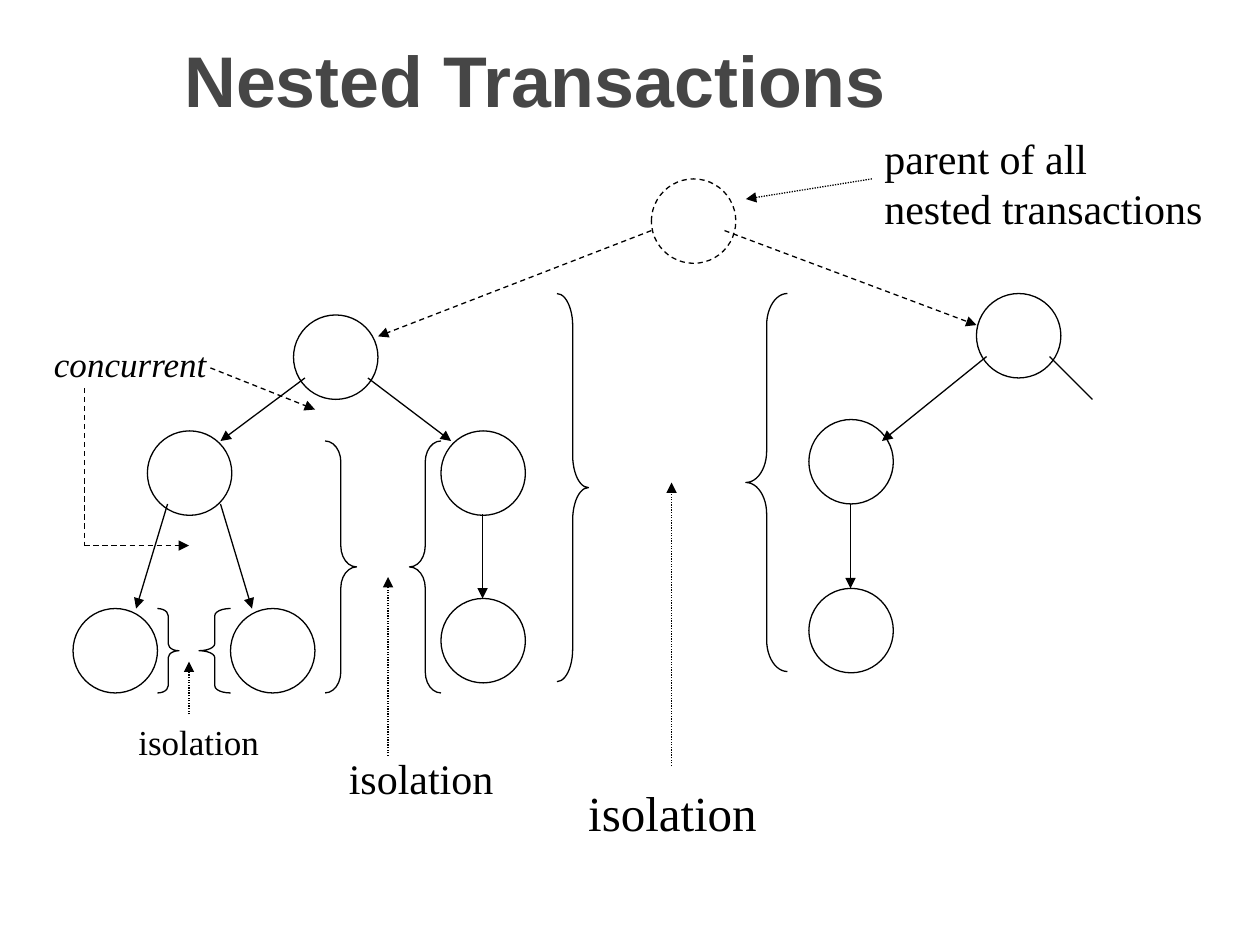
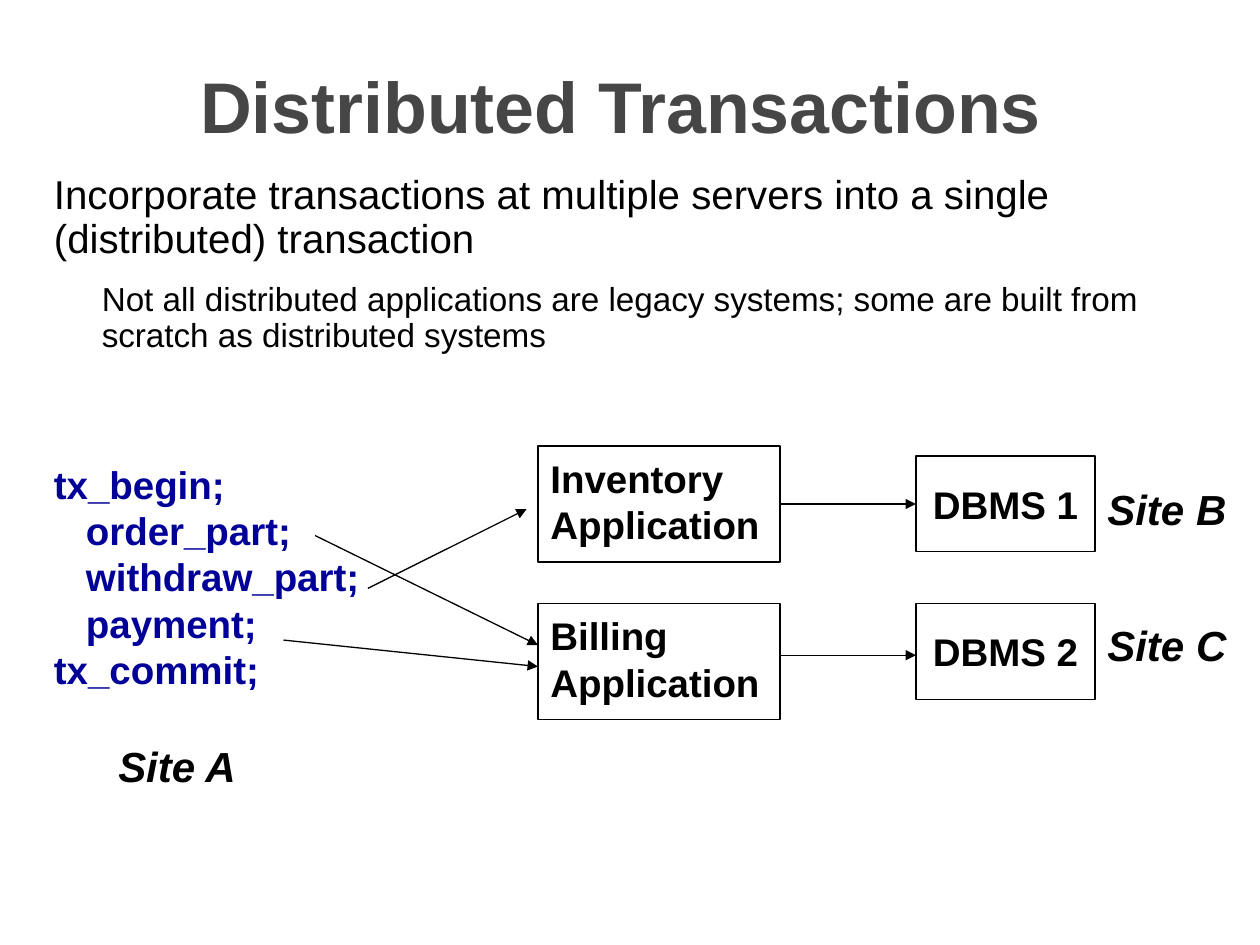
from dataclasses import dataclass, field
from typing import NamedTuple

from lxml.etree import SubElement
from pptx import Presentation
from pptx.dml.color import RGBColor
from pptx.enum.dml import MSO_LINE_DASH_STYLE as Dash
from pptx.enum.shapes import MSO_CONNECTOR, MSO_SHAPE
from pptx.enum.text import MSO_ANCHOR as Anchor
from pptx.enum.text import PP_ALIGN as Align
from pptx.oxml.ns import qn
from pptx.util import Inches, Pt

# Shared style
BLACK, WHITE, TITLE_GREY, CODE_BLUE = "000000", "FFFFFF", "464646", "000099"
SANS, SERIF = "Arial", "Times New Roman"
LINE_WIDTH = 0.75
NODE_SIZE = 0.67
TITLE_FONT = {"name": SANS, "size": Pt(41), "bold": True}
BOX_FONT = {"name": SANS, "size": Pt(22), "bold": True}
SITE_FONT = {"name": SANS, "size": Pt(24), "bold": True, "italic": True}


class Box(NamedTuple):
    left: float
    top: float
    width: float
    height: float


class Node(NamedTuple):
    left: float
    top: float
    dash: Dash | None = None


class Brace(NamedTuple):
    kind: MSO_SHAPE
    box: Box


class Arrow(NamedTuple):
    start: tuple[float, float]
    end: tuple[float, float]
    dash: Dash | None = None
    head: bool = True


@dataclass
class Label:
    box: Box
    lines: list[str]
    font: dict
    color: str = BLACK
    wrap: bool = False


@dataclass
class System:
    box: Box
    lines: list[str]
    text_format: dict = field(default_factory=dict)
    align: Align = Align.LEFT


# Drawing functions
def rgb(value: str) -> RGBColor:
    return RGBColor.from_string(value)


def inches(values) -> list:
    return [Inches(value) for value in values]


def set_attributes(target, values: dict) -> None:
    for name, value in values.items():
        setattr(target, name, value)


def style_line(line, dash: Dash | None = None) -> None:
    line.color.rgb = rgb(BLACK)
    line.width = Pt(LINE_WIDTH)
    if dash is not None:
        line.dash_style = dash


def write_lines(frame, lines: list[str], font: dict, color: str,
                align: Align = Align.LEFT) -> None:
    for index, line in enumerate(lines):
        paragraph = frame.paragraphs[0] if index == 0 else frame.add_paragraph()
        paragraph.text = line
        paragraph.alignment = align
        set_attributes(paragraph.font, font)
        paragraph.font.color.rgb = rgb(color)


def add_titled_slide(presentation, text: str, box: Box):
    slide = presentation.slides.add_slide(presentation.slide_layouts[5])
    title = slide.shapes.title
    set_attributes(title, dict(zip(("left", "top", "width", "height"), inches(box))))
    title.text_frame.vertical_anchor = Anchor.MIDDLE
    write_lines(title.text_frame, [text], TITLE_FONT, TITLE_GREY, Align.CENTER)
    return slide


def add_outline(slide, kind: MSO_SHAPE, box: Box, dash: Dash | None = None):
    shape = slide.shapes.add_shape(kind, *inches(box))
    shape.shadow.inherit = False
    style_line(shape.line, dash)
    return shape


def add_filled(slide, kind: MSO_SHAPE, box: Box, dash: Dash | None = None):
    shape = add_outline(slide, kind, box, dash)
    shape.fill.solid()
    shape.fill.fore_color.rgb = rgb(WHITE)
    return shape


def add_node(slide, node: Node) -> None:
    box = Box(node.left, node.top, NODE_SIZE, NODE_SIZE)
    add_filled(slide, MSO_SHAPE.OVAL, box, node.dash)


def add_brace(slide, brace: Brace) -> None:
    shape = add_outline(slide, brace.kind, brace.box)
    shape.fill.background()
    # The curls take a twelfth of the height
    shape.adjustments[0] = brace.box.height / 12 / brace.box.width


def add_arrow(slide, arrow: Arrow):
    connector = slide.shapes.add_connector(
        MSO_CONNECTOR.STRAIGHT, *inches(arrow.start + arrow.end))
    style_line(connector.line, arrow.dash)
    properties = connector._element.spPr
    if arrow.head:
        SubElement(properties.find(qn("a:ln")), qn("a:tailEnd"), type="triangle")
    SubElement(properties, qn("a:effectLst"))
    return connector


def add_label(slide, label: Label):
    text_box = slide.shapes.add_textbox(*inches(label.box))
    text_box.text_frame.word_wrap = label.wrap
    write_lines(text_box.text_frame, label.lines, label.font, label.color)
    return text_box


def add_system(slide, system: System):
    shape = add_filled(slide, MSO_SHAPE.RECTANGLE, system.box)
    set_attributes(shape.text_frame, {"word_wrap": True, **system.text_format})
    write_lines(shape.text_frame, system.lines, BOX_FONT, BLACK, system.align)
    return shape


def serif(size: float, italic: bool = False) -> dict:
    return {"name": SERIF, "size": Pt(size), "italic": italic}


# Slide 1: tree of nested transactions
def build_nested(presentation) -> None:
    slide = add_titled_slide(presentation, "Nested Transactions", Box(0, 0, 8.5, 1.25))

    nodes = [
        Node(5.17, 1.42, Dash.DASH),
        Node(2.33, 2.5), Node(7.75, 2.33),
        Node(1.17, 3.42), Node(3.5, 3.42), Node(6.42, 3.33),
        Node(0.58, 4.83), Node(1.83, 4.83), Node(3.5, 4.75), Node(6.42, 4.67),
    ]
    left, right = MSO_SHAPE.LEFT_BRACE, MSO_SHAPE.RIGHT_BRACE
    braces = [
        Brace(right, Box(1.25, 4.83, 0.17, 0.67)),
        Brace(left, Box(1.58, 4.83, 0.25, 0.67)),
        Brace(right, Box(2.58, 3.5, 0.25, 2)),
        Brace(left, Box(3.25, 3.5, 0.25, 2)),
        Brace(right, Box(4.42, 2.33, 0.25, 3.08)),
        Brace(left, Box(5.92, 2.33, 0.33, 3)),
    ]
    arrows = [
        # Links between transactions
        Arrow((5.17, 1.83), (3, 2.67), Dash.DASH),
        Arrow((5.75, 1.83), (7.75, 2.58), Dash.DASH),
        Arrow((2.42, 3), (1.75, 3.5)),
        Arrow((2.92, 3), (3.58, 3.5)),
        Arrow((1.33, 4), (1.08, 4.83)),
        Arrow((1.75, 4), (2, 4.83)),
        Arrow((3.83, 4.08), (3.83, 4.75)),
        Arrow((7.83, 2.83), (7, 3.5)),
        Arrow((6.75, 4), (6.75, 4.67)),
        Arrow((8.33, 2.83), (8.67, 3.17), head=False),
        # Pointers from the labels
        Arrow((6.92, 1.42), (5.92, 1.58), Dash.ROUND_DOT),
        Arrow((1.5, 5.67), (1.5, 5.25), Dash.ROUND_DOT),
        Arrow((3.08, 6), (3.08, 4.58), Dash.ROUND_DOT),
        Arrow((5.33, 6.08), (5.33, 3.83), Dash.ROUND_DOT),
        Arrow((1.67, 2.92), (2.5, 3.25), Dash.DASH),
        Arrow((0.67, 3.08), (0.67, 4.33), Dash.DASH, head=False),
        Arrow((0.67, 4.33), (1.5, 4.33), Dash.DASH),
    ]
    labels = [
        Label(Box(6.92, 1, 2.8, 0.9), ["parent of all", "nested transactions"], serif(24)),
        Label(Box(0.33, 2.67, 1.45, 0.44), ["concurrent"], serif(20, italic=True)),
        Label(Box(1, 5.67, 1.2, 0.44), ["isolation"], serif(20)),
        Label(Box(2.67, 5.92, 1.4, 0.5), ["isolation"], serif(24)),
        Label(Box(4.57, 6.16, 1.6, 0.57), ["isolation"], serif(28)),
    ]
    for draw, parts in ((add_node, nodes), (add_brace, braces),
                        (add_arrow, arrows), (add_label, labels)):
        for part in parts:
            draw(slide, part)


# Slide 2: one transaction across three sites
def build_distributed(presentation) -> None:
    slide = add_titled_slide(presentation, "Distributed Transactions", Box(0.68, 0.33, 8.5, 1))

    # Explanation, with an indented second level
    explanation = add_label(slide, Label(Box(0.33, 1.34, 9.33, 1.54), [
        "Incorporate transactions at multiple servers into a single (distributed) transaction",
        "Not all distributed applications are legacy systems; some are built from "
        "scratch as distributed systems",
    ], {"name": SANS, "size": Pt(23)}, wrap=True))
    main_point, detail = explanation.text_frame.paragraphs
    main_point.line_spacing = 0.9
    set_attributes(detail, {"level": 1, "line_spacing": 0.9, "space_before": Pt(11.9)})
    detail.font.size = Pt(19)
    detail._p.get_or_add_pPr().set("marL", str(Inches(0.38)))

    # Transaction code and site names
    code = ["tx_begin;", "   order_part;", "   withdraw_part;", "   payment;", "tx_commit;"]
    add_label(slide, Label(Box(0.33, 3.61, 2.75, 2.3), code, BOX_FONT, CODE_BLUE, wrap=True))
    for name, left, top in (("Site A", 0.84, 5.83), ("Site B", 8.69, 3.79),
                            ("Site C", 8.69, 4.87)):
        add_label(slide, Label(Box(left, top, 1.25, 0.5), [name], SITE_FONT))

    # Applications and their databases
    application_format = {"vertical_anchor": Anchor.TOP, "margin_top": Inches(0.07)}
    database_format = {"vertical_anchor": Anchor.MIDDLE}
    applications = [
        add_system(slide, System(Box(4.27, top, 1.92, 0.92), [name, "Application"],
                                 application_format))
        for name, top in (("Inventory", 3.54), ("Billing", 4.79))
    ]
    databases = [
        add_system(slide, System(Box(7.27, top, 1.42, 0.76), [name],
                                 database_format, Align.CENTER))
        for name, top in (("DBMS 1", 3.62), ("DBMS 2", 4.79))
    ]

    # Calls from the code, then from the applications
    for arrow in (Arrow((2.5, 4.25), (4.27, 5.12)),
                  Arrow((2.92, 4.67), (4.18, 4.04)),
                  Arrow((2.25, 5.08), (4.27, 5.29)),
                  Arrow((6.18, 5.2), (7.27, 5.2))):
        add_arrow(slide, arrow)
    inventory_call = add_arrow(slide, Arrow((6.19, 4), (7.27, 4)))
    inventory_call.begin_connect(applications[0], 3)
    inventory_call.end_connect(databases[0], 1)


def main() -> None:
    presentation = Presentation()
    presentation.slide_width, presentation.slide_height = inches((10, 7.5))
    build_nested(presentation)
    build_distributed(presentation)
    presentation.save("out.pptx")


if __name__ == "__main__":
    main()
